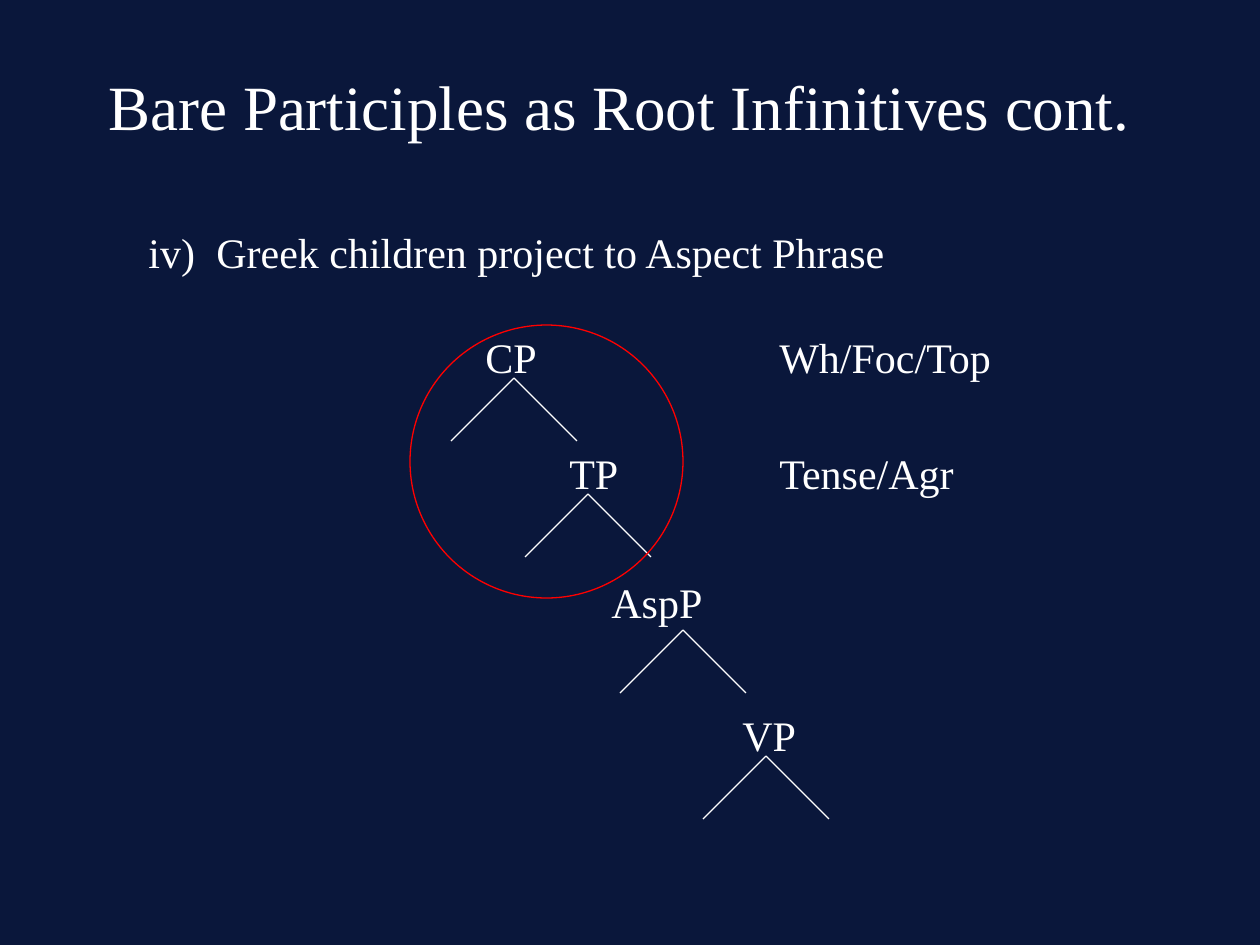
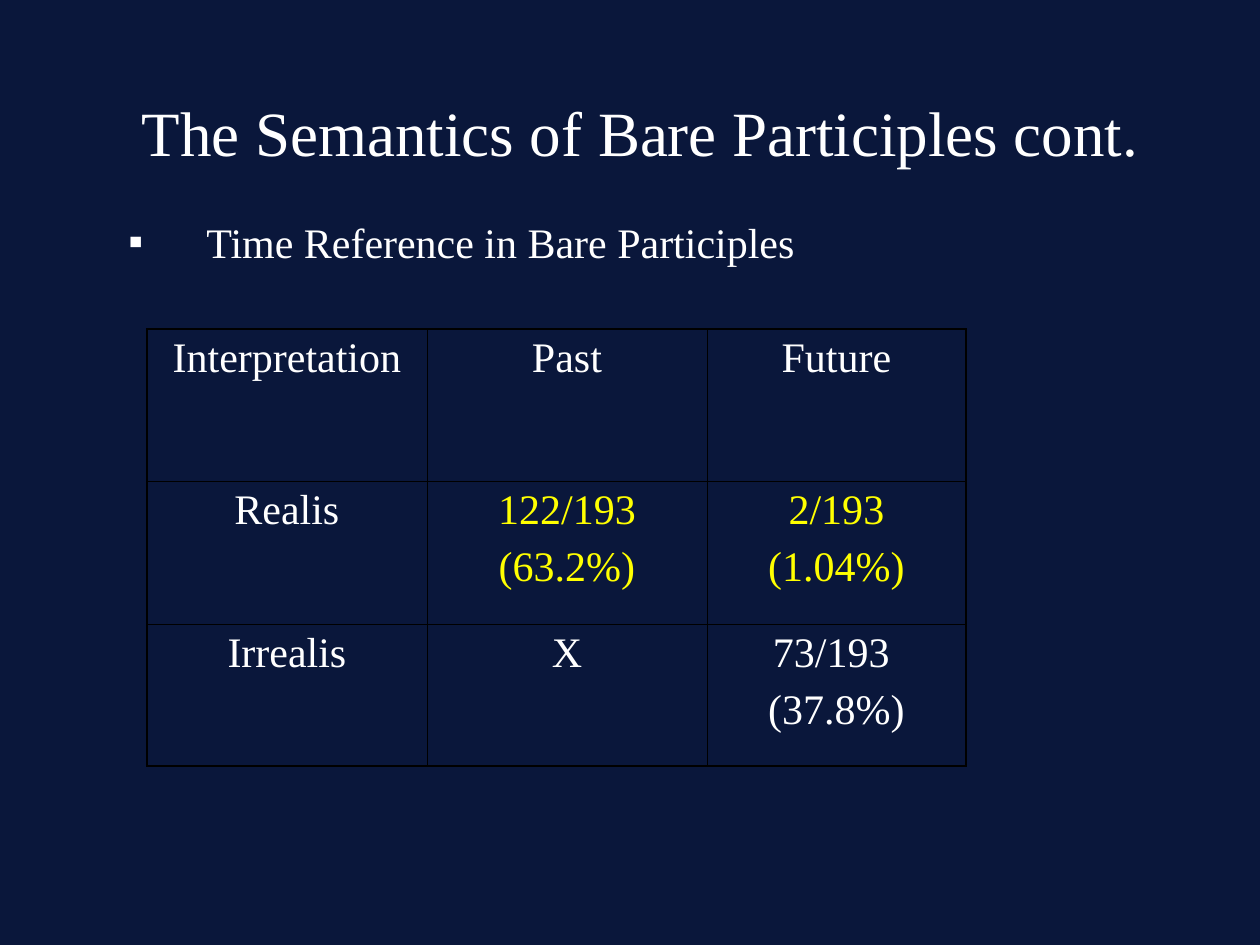
import lxml.etree
import pptx
import pptx.dml.color
import pptx.enum.shapes
import pptx.enum.text
import pptx.oxml.ns
import pptx.util

NAVY, WHITE, YELLOW, RED, BLACK = "0A173B", "FFFFFF", "FFFF00", "FF0000", "000000"
SCALE = 914400 / 126
HANGING = 68


def px(length):
    return pptx.util.Emu(round(length * SCALE))


def color(code):
    return pptx.dml.color.RGBColor.from_string(code)


def add_node(parent, tag, **attributes):
    node = lxml.etree.SubElement(parent, pptx.oxml.ns.qn(tag))
    for key, value in attributes.items():
        node.set(key, str(value))
    return node


class Deck:
    font_name = "Times New Roman"
    title_size = 36
    body_size = 24
    line_width = 0.75
    outer_border = 1.08
    inner_border = 0.45

    def __init__(self):
        self.deck = pptx.Presentation()
        self.deck.slide_width, self.deck.slide_height = px(1260), px(945)
        self.page = None

    def new_page(self):
        self.page = self.deck.slides.add_slide(self.deck.slide_layouts[6])
        background = self.page.background.fill
        background.solid()
        background.fore_color.rgb = color(NAVY)

    def format(self, frame, size, code=WHITE, centered=False, space=0):
        for index, para in enumerate(frame.paragraphs):
            if centered:
                para.alignment = pptx.enum.text.PP_ALIGN.CENTER
            if index:
                para.space_before = pptx.util.Pt(space)
            for span in para.runs:
                span.font.name = self.font_name
                span.font.size = pptx.util.Pt(size)
                span.font.color.rgb = color(code)

    def text(self, text, left, top, width, height=63, size=None, centered=False):
        box = self.page.shapes.add_textbox(px(left), px(top), px(width), px(height))
        frame = box.text_frame
        frame.word_wrap = True
        frame.text = text
        self.format(frame, size or self.body_size, centered=centered)
        return frame

    def label(self, text, left, top, width):
        frame = self.text(text, left, top, width)
        frame.word_wrap = False
        frame.auto_size = pptx.enum.text.MSO_AUTO_SIZE.SHAPE_TO_FIT_TEXT

    def title(self, text, left, top, height):
        frame = self.text(text, left, top, 1071, height, self.title_size, centered=True)
        frame.vertical_anchor = pptx.enum.text.MSO_ANCHOR.MIDDLE

    def item(self, text, left, top, width, marker, hanging=HANGING, **attributes):
        frame = self.text(text, left, top, width)
        properties = frame.paragraphs[0]._p.get_or_add_pPr()
        properties.set("marL", str(px(hanging)))
        properties.set("indent", str(-px(hanging)))
        add_node(add_node(properties, "a:buClr"), "a:srgbClr", val=WHITE)
        add_node(properties, "a:buFont", typeface=self.font_name)
        add_node(properties, marker, **attributes)

    def line(self, x1, y1, x2, y2):
        connector = self.page.shapes.add_connector(
            pptx.enum.shapes.MSO_CONNECTOR.STRAIGHT, px(x1), px(y1), px(x2), px(y2))
        connector.line.color.rgb = color(WHITE)
        connector.line.width = pptx.util.Pt(self.line_width)
        add_node(connector._element.spPr, "a:effectLst")

    def branches(self, x, y, reach=63):
        for side in (-reach, reach):
            self.line(x, y, x + side, y + reach)

    def circle(self, left, top, diameter):
        shape = self.page.shapes.add_shape(
            pptx.enum.shapes.MSO_SHAPE.OVAL, px(left), px(top), px(diameter), px(diameter))
        shape.shadow.inherit = False
        shape.fill.background()
        shape.line.color.rgb = color(RED)
        shape.line.width = pptx.util.Pt(self.line_width)

    def border(self, cell, side, width):
        properties = cell._tc.get_or_add_tcPr()
        edge = add_node(properties, "a:ln" + side, w=pptx.util.Pt(width))
        add_node(add_node(edge, "a:solidFill"), "a:srgbClr", val=BLACK)

    def table(self, rows, left, top, widths, heights, highlights):
        table = self.page.shapes.add_table(
            len(rows), len(widths), px(left), px(top), px(sum(widths)), px(sum(heights))).table
        table.first_row = table.horz_banding = False
        for column, width in zip(table.columns, widths):
            column.width = px(width)
        for y, (row, height) in enumerate(zip(rows, heights)):
            table.rows[y].height = px(height)
            for x, text in enumerate(row):
                cell = table.cell(y, x)
                cell.text_frame.text = text
                code = YELLOW if (y, x) in highlights else WHITE
                self.format(cell.text_frame, self.body_size, code, centered=True, space=6)
                outer = {"L": x == 0, "R": x == len(widths) - 1,
                         "T": y == 0, "B": y == len(rows) - 1}
                for side, is_outer in outer.items():
                    self.border(cell, side, self.outer_border if is_outer else self.inner_border)
                cell.fill.background()


def add_tree_page(deck):
    deck.new_page()
    deck.title("Bare Participles as Root Infinitives cont.", 84, 53, 105)
    deck.item("Greek children project to Aspect Phrase", 136, 220, 955,
              "a:buAutoNum", type="romanLcParenR", startAt=4)
    phrases = [
        ("CP", 473, 325, 77, 514, 378),
        ("TP", 557, 441, 74, 588, 494),
        ("AspP", 599, 570, 116, 683, 630),
        ("VP", 730, 703, 80, 766, 756),
    ]
    for label, left, top, width, apex_x, apex_y in phrases:
        deck.branches(apex_x, apex_y)
        deck.label(label, left, top, width)
    for feature, top, width in [("Wh/Foc/Top", 325, 239), ("Tense/Agr", 441, 202)]:
        deck.label(feature, 767, top, width)
    deck.circle(410, 325, 273)


def add_semantics_page(deck):
    deck.new_page()
    deck.title("The Semantics of Bare Participles cont.", 105, 84, 95)
    deck.item("Time Reference in Bare Participles", 116, 210, 966,
              "a:buChar", hanging=HANGING + 10, char="▪")
    rows = [
        ("Interpretation", "Past", "Future"),
        ("Realis", "122/193\n(63.2%)", "2/193\n(1.04%)"),
        ("Irrealis", "X", "73/193 \n(37.8%)"),
    ]
    deck.table(rows, 147, 329, (280, 280, 259), (152, 143, 142), {(1, 1), (1, 2)})


def main():
    deck = Deck()
    add_tree_page(deck)
    add_semantics_page(deck)
    deck.deck.save("out.pptx")


if __name__ == "__main__":
    main()
